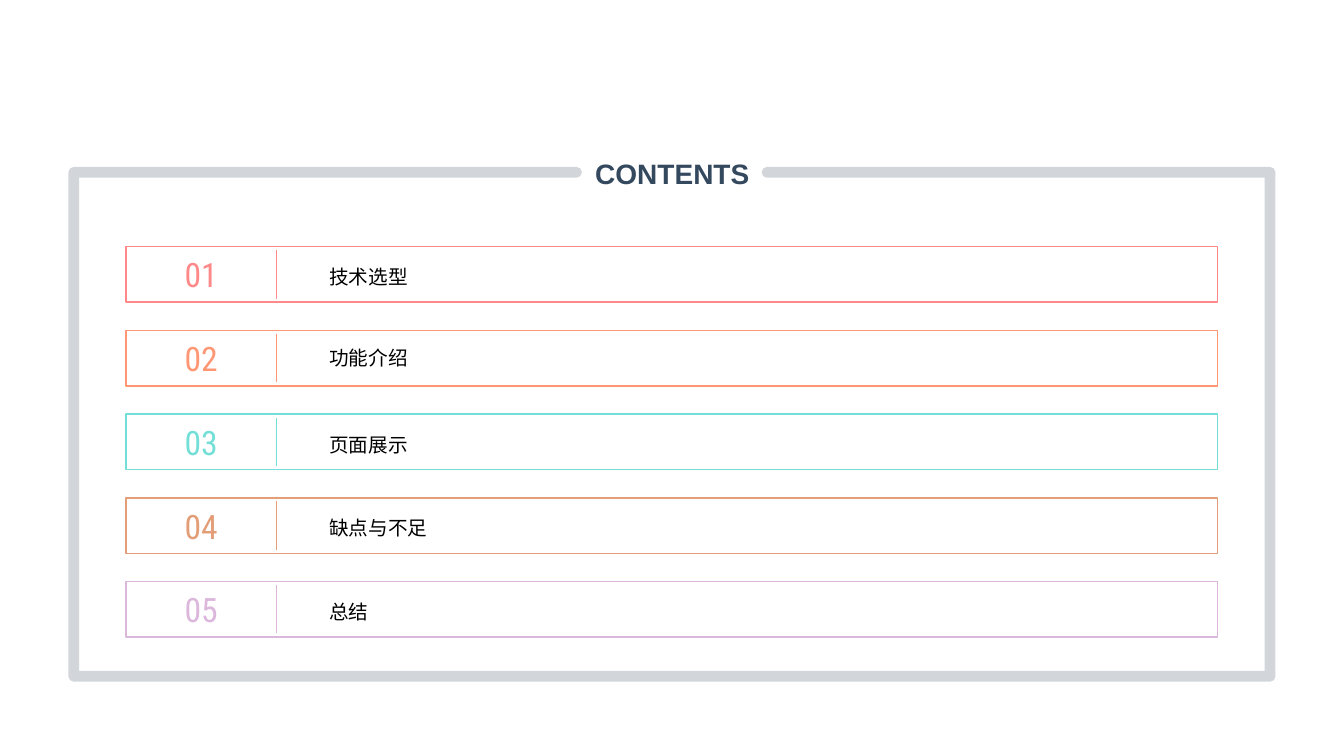
from lxml.etree import SubElement
from pptx import Presentation
from pptx.dml.color import RGBColor
from pptx.enum.shapes import MSO_CONNECTOR, MSO_SHAPE
from pptx.enum.text import MSO_ANCHOR, PP_ALIGN
from pptx.oxml.ns import qn
from pptx.util import Pt

COLORS = {
    "navy": "34485E",
    "black": "000000",
    "coral": "FF8989",
    "orange": "FF9774",
    "teal": "73DFD6",
    "tan": "E39D77",
    "lilac": "DBB7DB",
}

HEADING = {"name": "Arial", "size": Pt(20), "bold": True}
NUMBER = {"name": "Roboto Condensed", "size": Pt(24)}
TOPIC = {"name": "Arial", "size": Pt(14)}


def add_text(box, text, color, font_format, align, spacing=None, margin=None):
    left, top, width, height = box
    frame = slide.shapes.add_textbox(Pt(left), Pt(top), Pt(width), Pt(height)).text_frame
    frame.word_wrap = True
    frame.vertical_anchor = MSO_ANCHOR.MIDDLE
    if margin is not None:
        for side in ("left", "top", "right", "bottom"):
            setattr(frame, f"margin_{side}", Pt(margin))
    paragraph = frame.paragraphs[0]
    paragraph.alignment = align
    paragraph.line_spacing = spacing
    run = paragraph.add_run()
    run.text = text
    for attribute, value in font_format.items():
        setattr(run.font, attribute, value)
    run.font.color.rgb = RGBColor.from_string(COLORS[color])


def style_line(line, color, width):
    line.color.rgb = RGBColor.from_string(COLORS[color])
    line.width = Pt(width)


presentation = Presentation()
presentation.slide_width = Pt(960)
presentation.slide_height = Pt(540)
slide = presentation.slides.add_slide(presentation.slide_layouts[6])

# Heading in the gap of the frame
add_text((418.3, 99.4, 123.8, 48.2), "CONTENTS", "navy", HEADING, PP_ALIGN.CENTER, margin=0)

# Frame, open at the top around the heading
left, top, right, bottom = 52.7, 123.1, 907.2, 483.1
gap_left, gap_right = 411.8, 547.9
outline = slide.shapes.build_freeform(Pt(gap_right), Pt(top))
corners = [(right, top), (right, bottom), (left, bottom), (left, top), (gap_left, top)]
outline.add_line_segments([(Pt(x), Pt(y)) for x, y in corners], close=False)
frame = outline.convert_to_shape()
frame.shadow.inherit = False
frame.fill.background()
style_line(frame.line, "navy", 7.75)

# Translucent line with round ends and corners
frame_line = frame._element.spPr.find(qn("a:ln"))
frame_line.set("cap", "rnd")
SubElement(frame_line.find(".//" + qn("a:srgbClr")), qn("a:alpha")).set("val", "21000")
SubElement(frame_line, qn("a:round"))

# Agenda rows
row_left, row_width, row_height = 90, 779.8, 39.6
first_top, pitch = 176.2, 59.8
number_width, divider_inset = 107.3, 2.5
topic_left = 228.2
agenda = [
    ("技术选型", "coral", 1.2),
    ("功能介绍", "orange", None),
    ("页面展示", "teal", 1.2),
    ("缺点与不足", "tan", 1.2),
    ("总结", "lilac", 1.2),
]

for index, (topic, color, spacing) in enumerate(agenda):
    row_top = first_top + index * pitch

    # Border
    border = slide.shapes.add_shape(
        MSO_SHAPE.RECTANGLE, Pt(row_left), Pt(row_top), Pt(row_width), Pt(row_height))
    border.shadow.inherit = False
    border.fill.background()
    style_line(border.line, color, 1)

    # Number
    add_text((row_left, row_top, number_width, row_height),
             f"{index + 1:02d}", color, NUMBER, PP_ALIGN.CENTER)

    # Divider
    divider_x = Pt(row_left + number_width)
    divider = slide.shapes.add_connector(
        MSO_CONNECTOR.STRAIGHT, divider_x, Pt(row_top + divider_inset),
        divider_x, Pt(row_top + row_height - divider_inset))
    style_line(divider.line, color, 1)
    SubElement(divider._element.spPr, qn("a:effectLst"))

    # Topic
    add_text((topic_left, row_top, row_left + row_width - topic_left, row_height),
             topic, "black", TOPIC, PP_ALIGN.LEFT, spacing)

presentation.save("out.pptx")
